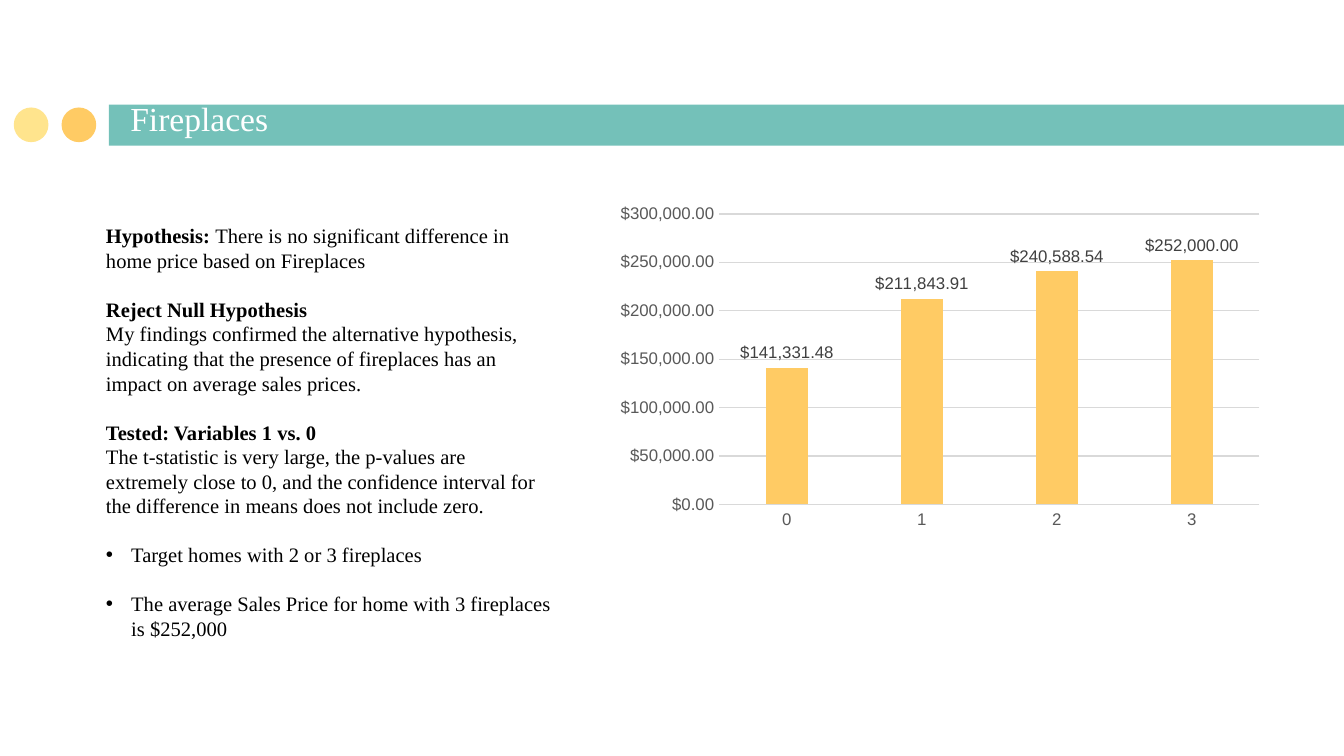
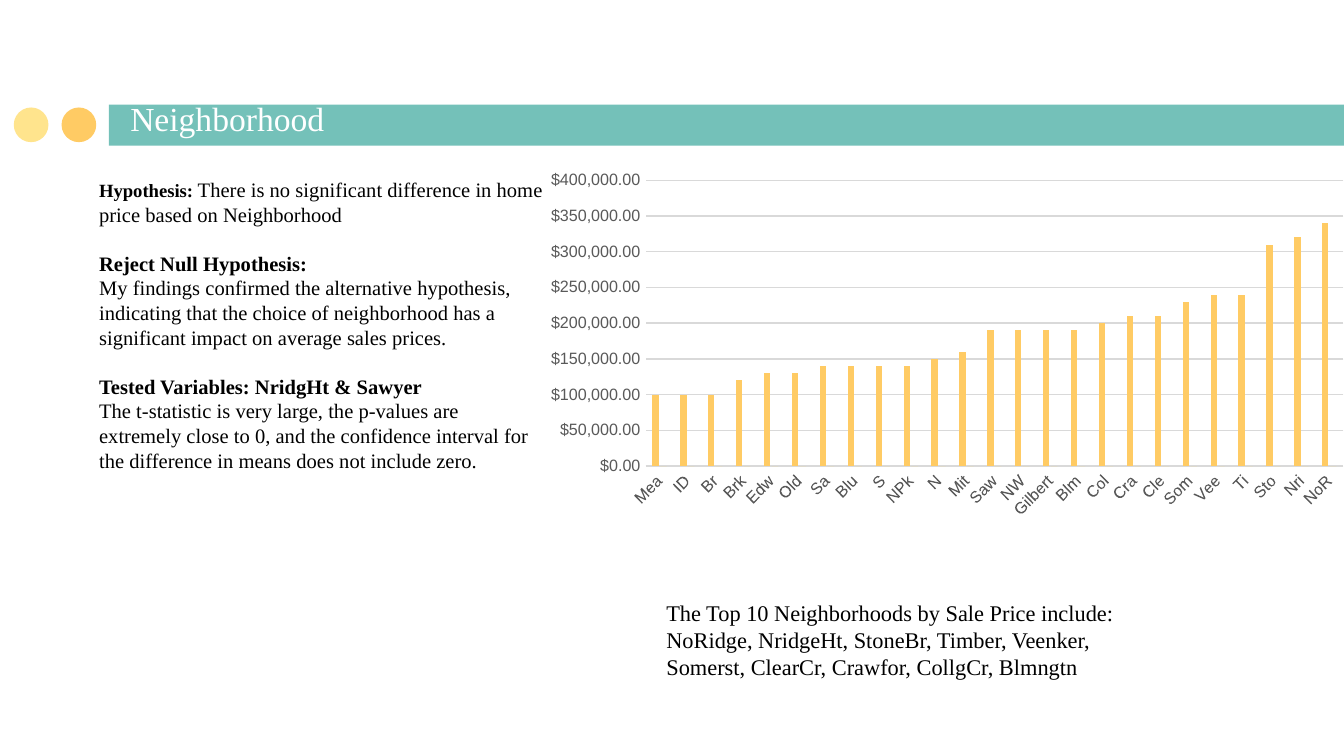
"""Build two slides on how fireplaces and neighborhood relate to home prices."""
from dataclasses import dataclass

from lxml import etree
from pptx import Presentation
from pptx.chart.chart import Chart
from pptx.chart.data import CategoryChartData
from pptx.dml.color import RGBColor
from pptx.enum.chart import XL_CHART_TYPE, XL_LABEL_POSITION, XL_TICK_MARK
from pptx.enum.shapes import MSO_SHAPE
from pptx.enum.text import MSO_ANCHOR, MSO_AUTO_SIZE, PP_ALIGN
from pptx.oxml import parse_xml
from pptx.oxml.ns import nsdecls, qn
from pptx.slide import Slide
from pptx.text.text import TextFrame
from pptx.util import Pt

COLUMNS = XL_CHART_TYPE.COLUMN_CLUSTERED
OUTSIDE_END = XL_LABEL_POSITION.OUTSIDE_END
NO_TICK = XL_TICK_MARK.NONE
RECTANGLE, OVAL = MSO_SHAPE.RECTANGLE, MSO_SHAPE.OVAL
TOP, BOTTOM = MSO_ANCHOR.TOP, MSO_ANCHOR.BOTTOM
NO_AUTOFIT = MSO_AUTO_SIZE.NONE
LEFT = PP_ALIGN.LEFT

TEAL = RGBColor(0x74, 0xC1, 0xB9)
AMBER = RGBColor(0xFF, 0xCB, 0x64)
PALE_YELLOW = RGBColor(0xFF, 0xE4, 0x8D)
SOFT_YELLOW = RGBColor(0xFC, 0xD9, 0x77)
WHITE = RGBColor(0xFF, 0xFF, 0xFF)
BLACK = RGBColor(0, 0, 0)
AXIS_GREY = RGBColor(0x59, 0x59, 0x59)
LABEL_GREY = RGBColor(0x40, 0x40, 0x40)
GRID_GREY = RGBColor(0xD9, 0xD9, 0xD9)

SERIF, SANS = "Times New Roman", "Arial"
DOLLARS = '"$"#,##0.00'
BODY_SIZE = 11
LINE_GAP = Pt(13)
BULLET_INDENT = Pt(13.5)
TITLE_ONLY = 5
T_STATISTIC = (
    "The t-statistic is very large, the p-values are extremely close to 0, and the "
    "confidence interval for the difference in means does not include zero."
)


@dataclass(frozen=True)
class Box:
    """Place and size in points."""

    left: float
    top: float
    width: float
    height: float

    def lengths(self) -> tuple[Pt, Pt, Pt, Pt]:
        """Give the four lengths in drawing order."""
        return Pt(self.left), Pt(self.top), Pt(self.width), Pt(self.height)


@dataclass(frozen=True)
class Ornament:
    """A filled shape of the heading strip."""

    preset: MSO_SHAPE
    box: Box
    color: RGBColor


@dataclass(frozen=True)
class Para:
    """A paragraph with an optional bold lead."""

    text: str = ""
    lead: str = ""
    lead_size: float = BODY_SIZE
    size: float = BODY_SIZE
    gap: bool = False
    bullet: bool = False


@dataclass(frozen=True)
class PriceChart:
    """Prices by category with the chart's layout."""

    box: Box
    categories: tuple[str, ...]
    series: tuple[tuple[float, ...], ...]
    maximum: float
    labelled: bool = False
    plot: tuple[float, ...] = ()


@dataclass(frozen=True)
class Finding:
    """The content of one slide."""

    title: str
    box: Box
    paragraphs: tuple[Para, ...]
    chart: PriceChart
    summary: tuple[Para, ...] = ()


STRIP = (
    Ornament(RECTANGLE, Box(58.3, 56, 684, 22), TEAL),
    Ornament(OVAL, Box(33, 57.6, 18.6, 18.6), AMBER),
    Ornament(OVAL, Box(7.4, 57.6, 18.6, 18.6), PALE_YELLOW),
)
TITLE_BOX = Box(62.6, 56.9, 394.6, 24.5)
SUMMARY_BOX = Box(349.9, 317.5, 333.4, 51)

NEIGHBORHOOD_PRICES = {
    "MeadowV": 100000, "IDOTRR": 100000, "BrDale": 100000, "BrkSide": 120000,
    "Edwards": 130000, "OldTown": 130000, "Sawyer": 140000, "Blueste": 140000,
    "SWISU": 140000, "NPkVill": 140000, "NAmes": 150000, "Mitchel": 160000,
    "SawyerW": 190000, "NWAmes": 190000, "Gilbert": 190000, "Blmngtn": 190000,
    "CollgCr": 200000, "Crawfor": 210000, "ClearCr": 210000, "Somerst": 230000,
    "Veenker": 240000, "Timber": 240000, "StoneBr": 310000, "NridgHt": 320000,
    "NoRidge": 340000,
}

FINDINGS = (
    Finding(
        "Fireplaces",
        Box(49.7, 115.9, 252.7, 282.2),
        (
            Para("There is no significant difference in home price based on Fireplaces",
                 "Hypothesis: "),
            Para(lead="Reject Null Hypothesis", gap=True),
            Para("My findings confirmed the alternative hypothesis, indicating that the "
                 "presence of fireplaces has an impact on average sales prices."),
            Para(lead="Tested: Variables 1 vs. 0", gap=True),
            Para(T_STATISTIC),
            Para("Target homes with 2 or 3 fireplaces", gap=True, bullet=True),
            Para("The average Sales Price for home with 3 fireplaces is $252,000",
                 gap=True, bullet=True),
        ),
        PriceChart(
            Box(325.4, 105.8, 356.4, 181.4),
            ("0", "1", "2", "3"),
            ((141331.48, 211843.91, 240588.54, 252000),),
            300000,
            labelled=True,
        ),
    ),
    Finding(
        "Neighborhood",
        Box(46, 91.4, 252.7, 249.8),
        (
            Para("There is no significant difference in home price based on Neighborhood",
                 "Hypothesis: ", lead_size=10),
            Para(lead="Reject Null Hypothesis:", gap=True),
            Para("My findings confirmed the alternative hypothesis, indicating that the "
                 "choice of neighborhood has a significant impact on average sales prices."),
            Para(lead="Tested Variables: NridgHt & Sawyer", gap=True),
            Para(T_STATISTIC),
        ),
        PriceChart(
            Box(295.2, 91.4, 424.8, 187.9),
            tuple(NEIGHBORHOOD_PRICES),
            (tuple(NEIGHBORHOOD_PRICES.values()), (0,) * len(NEIGHBORHOOD_PRICES)),
            400000,
            plot=(0.08, 0.01, 0.92, 0.83),
        ),
        (
            Para("The Top 10 Neighborhoods by Sale Price include:", size=12),
            Para("NoRidge, NridgeHt, StoneBr, Timber, Veenker,", size=12),
            Para("Somerst, ClearCr, Crawfor, CollgCr, Blmngtn", size=12),
        ),
    ),
)


def style_font(font, size: float, color: RGBColor, name: str, bold: bool = False) -> None:
    """Set the size, colour, typeface and weight of a font."""
    font.size, font.name, font.bold = Pt(size), name, bold
    font.color.rgb = color


def add_filled(slide: Slide, ornament: Ornament):
    """Draw a plain filled shape without outline or shadow."""
    shape = slide.shapes.add_shape(ornament.preset, *ornament.box.lengths())
    shape.shadow.inherit = False
    shape.fill.solid()
    shape.fill.fore_color.rgb = ornament.color
    shape.line.fill.background()
    return shape


def write_paragraphs(frame: TextFrame, paragraphs: tuple[Para, ...]) -> None:
    """Fill a text frame with left-aligned paragraphs."""
    frame.word_wrap = True
    frame.vertical_anchor = TOP
    for index, para in enumerate(paragraphs):
        line = frame.add_paragraph() if index else frame.paragraphs[0]
        line.alignment = LEFT
        if para.gap:
            line.space_before = LINE_GAP
        for text, size, bold in ((para.lead, para.lead_size, True),
                                 (para.text, para.size, False)):
            if text:
                run = line.add_run()
                run.text = text
                style_font(run.font, size, BLACK, SERIF, bold)
        if para.bullet:
            properties = line._p.get_or_add_pPr()
            properties.set("marL", str(BULLET_INDENT))
            properties.set("indent", str(-BULLET_INDENT))
            etree.SubElement(properties, qn("a:buFont")).set("typeface", SANS)
            etree.SubElement(properties, qn("a:buChar")).set("char", "•")


def add_heading(slide: Slide, title: str) -> None:
    """Draw the heading strip and set the title over it."""
    for ornament in STRIP:
        add_filled(slide, ornament)
    heading = slide.shapes.title
    slide.shapes.element.append(heading.element)
    heading.left, heading.top, heading.width, heading.height = TITLE_BOX.lengths()
    frame = heading.text_frame
    frame.text = title
    frame.auto_size = NO_AUTOFIT
    frame.vertical_anchor = BOTTOM
    frame.margin_left = frame.margin_right = Pt(7.2)
    frame.margin_top = frame.margin_bottom = Pt(7.2)
    frame.paragraphs[0].alignment = LEFT
    style_font(frame.paragraphs[0].runs[0].font, 18, WHITE, SERIF)


def set_plot_layout(chart: Chart, plot: tuple[float, ...]) -> None:
    """Fix the inner plot area as fractions of the chart."""
    values = "".join(f'<c:{tag} val="{value}"/>' for tag, value in zip("xywh", plot))
    layout = parse_xml(
        f'<c:layout {nsdecls("c")}><c:manualLayout><c:layoutTarget val="inner"/>'
        f'<c:xMode val="edge"/><c:yMode val="edge"/>{values}</c:manualLayout></c:layout>'
    )
    area = chart.element.find(".//" + qn("c:plotArea"))
    for automatic in area.findall(qn("c:layout")):
        area.remove(automatic)
    area.insert(0, layout)


def add_price_chart(slide: Slide, prices: PriceChart) -> None:
    """Add a column chart of sale prices."""
    data = CategoryChartData(number_format=DOLLARS)
    data.categories = prices.categories
    for number, values in enumerate(prices.series, 1):
        data.add_series(f"Series {number}", values)
    chart = slide.shapes.add_chart(COLUMNS, *prices.box.lengths(), data).chart
    chart.has_legend = chart.has_title = False
    style_font(chart.font, 10, BLACK, SANS)
    for axis in (chart.category_axis, chart.value_axis):
        axis.major_tick_mark = axis.minor_tick_mark = NO_TICK
        style_font(axis.tick_labels.font, 9, AXIS_GREY, SANS)
    value_axis = chart.value_axis
    value_axis.minimum_scale, value_axis.maximum_scale = 0, prices.maximum
    value_axis.major_unit = 50000
    value_axis.tick_labels.number_format = DOLLARS
    value_axis.tick_labels.number_format_is_linked = False
    value_axis.format.line.fill.background()
    for line in (chart.category_axis.format.line, value_axis.major_gridlines.format.line):
        line.color.rgb, line.width = GRID_GREY, Pt(0.75)
    columns = chart.plots[0]
    columns.vary_by_categories = False
    columns.gap_width, columns.overlap = 219, -27
    for series, color in zip(columns.series, (AMBER, SOFT_YELLOW)):
        series.format.fill.solid()
        series.format.fill.fore_color.rgb = color
        if prices.labelled:
            labels = series.data_labels
            labels.show_value, labels.position = True, OUTSIDE_END
            labels.number_format, labels.number_format_is_linked = DOLLARS, False
            style_font(labels.font, 9, LABEL_GREY, SANS)
    if prices.plot:
        set_plot_layout(chart, prices.plot)


def main() -> None:
    """Build and save the presentation."""
    deck = Presentation()
    deck.slide_width, deck.slide_height = Pt(720), Pt(405)
    for finding in FINDINGS:
        slide = deck.slides.add_slide(deck.slide_layouts[TITLE_ONLY])
        add_heading(slide, finding.title)
        panel = add_filled(slide, Ornament(RECTANGLE, finding.box, WHITE))
        write_paragraphs(panel.text_frame, finding.paragraphs)
        add_price_chart(slide, finding.chart)
        if finding.summary:
            summary = slide.shapes.add_textbox(*SUMMARY_BOX.lengths())
            write_paragraphs(summary.text_frame, finding.summary)
    deck.save("out.pptx")


if __name__ == "__main__":
    main()
